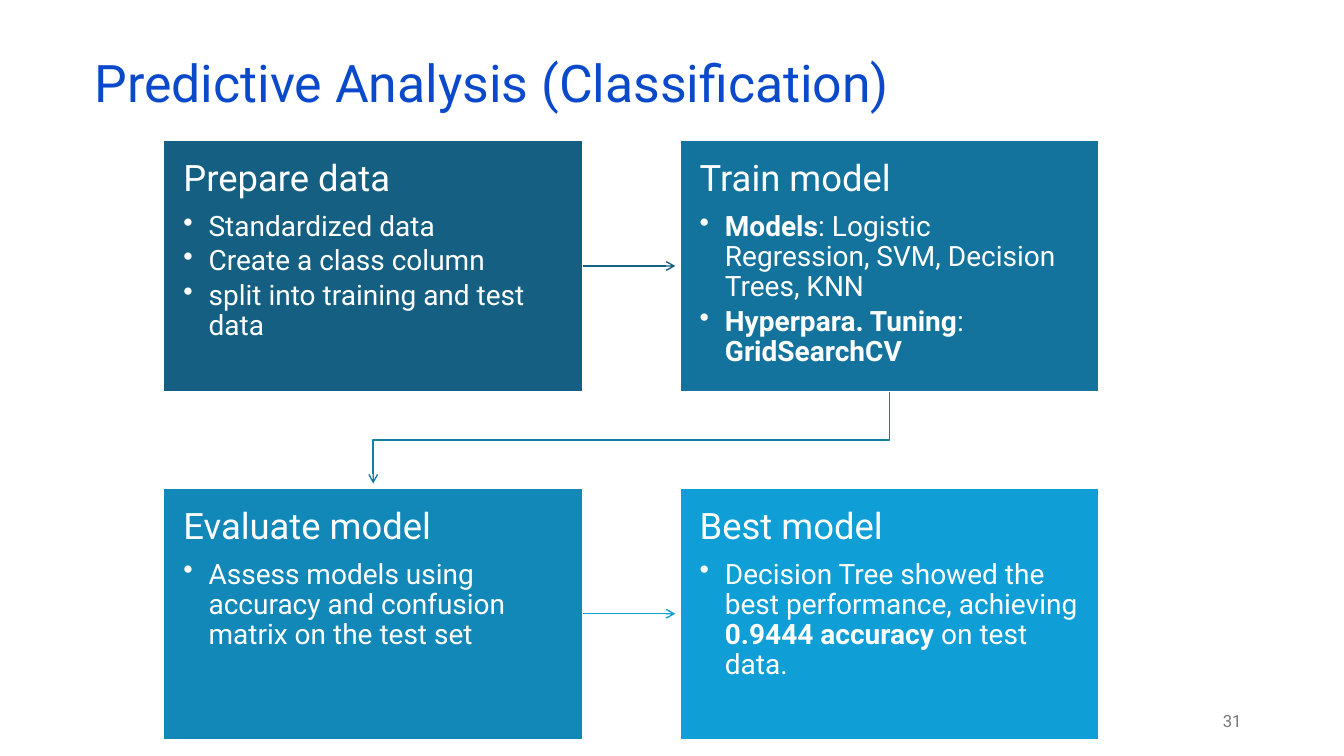
from lxml import etree
from pptx import Presentation
from pptx import util as u
from pptx.dml.color import RGBColor
from pptx.enum import shapes, text
from pptx.oxml.ns import qn

Pt = u.Pt
FONT = "Roboto"
WHITE = "FFFFFF"
TITLE = "Predictive Analysis (Classification)"
PAGE_NUMBER = "31"

# Each step: heading, fill, bullets; a bullet is a list of (text, bold) runs.
STEPS = [
    ("Prepare data", "156082", [
        [("Standardized data", False)],
        [("Create a class column", False)],
        [("split into training and test data", False)],
    ]),
    ("Train model", "14739C", [
        [("Models", True),
         (": Logistic Regression, SVM, Decision Trees, KNN", False)],
        [("Hyperpara. Tuning", True), (": ", False), ("GridSearchCV", True)],
    ]),
    ("Evaluate model", "1288B8", [
        [("Assess models using accuracy and confusion matrix on the test set", False)],
    ]),
    ("Best model", "0F9ED5", [
        [("Decision Tree showed the best performance, achieving ", False),
         ("0.9444 accuracy", True), (" on test data.", False)],
    ]),
]
ROW_ARROW_COLORS = ["156082", "0F9ED5"]
ELBOW_COLOR = "137EAA"

LEFT, TOP = 116.6, 100
BOX_WIDTH, BOX_HEIGHT = 300, 180
COLUMN_STEP, ROW_STEP = 368.8, 248.4
ARROW_GAP = 3
INSET = 14.4
INDENT = 18


def color(value):
    return RGBColor.from_string(value)


def add_run(paragraph, content, size, fill, bold=False):
    run = paragraph.add_run()
    run.text = content
    run.font.name = FONT
    run.font.size = Pt(size)
    run.font.bold = bold
    run.font.color.rgb = color(fill)


def set_margins(frame, margin):
    frame.margin_left = frame.margin_right = Pt(margin)
    frame.margin_top = frame.margin_bottom = Pt(margin)


def place(shape, left, top, width, height):
    shape.left, shape.top = Pt(left), Pt(top)
    shape.width, shape.height = Pt(width), Pt(height)


def add_bullet(paragraph):
    properties = paragraph._p.get_or_add_pPr()
    properties.set("marL", str(Pt(INDENT)))
    properties.set("indent", str(-Pt(INDENT)))
    etree.SubElement(properties, qn("a:buChar"), char="•")


def style_arrow(shape, line_color):
    """Give a line its colour and an open arrowhead at its end."""
    shape.line.color.rgb = color(line_color)
    shape.line.width = Pt(1)
    etree.SubElement(shape.line._get_or_add_ln(), qn("a:tailEnd"), type="arrow")
    if shape._element.spPr.find(qn("a:effectLst")) is None:
        etree.SubElement(shape._element.spPr, qn("a:effectLst"))


def add_step(slide, left, top, heading, fill, bullets):
    box = slide.shapes.add_shape(shapes.MSO_SHAPE.RECTANGLE, Pt(left), Pt(top),
                                 Pt(BOX_WIDTH), Pt(BOX_HEIGHT))
    box.shadow.inherit = False
    box.fill.solid()
    box.fill.fore_color.rgb = color(fill)
    box.line.color.rgb = color(WHITE)
    box.line.width = Pt(1.5)
    frame = box.text_frame
    frame.word_wrap = True
    frame.vertical_anchor = text.MSO_ANCHOR.TOP
    set_margins(frame, INSET)
    paragraph = frame.paragraphs[0]
    paragraph.space_after = Pt(9)
    add_run(paragraph, heading, 26, WHITE)
    for runs in bullets:
        paragraph = frame.add_paragraph()
        paragraph.level = 1
        paragraph.space_after = Pt(3)
        add_bullet(paragraph)
        for content, bold in runs:
            add_run(paragraph, content, 20, WHITE, bold)
    for paragraph in frame.paragraphs:
        paragraph.alignment = text.PP_ALIGN.LEFT
        paragraph.line_spacing = 0.9


def add_row_arrow(slide, row):
    middle = TOP + row * ROW_STEP + BOX_HEIGHT / 2
    arrow = slide.shapes.add_connector(
        shapes.MSO_CONNECTOR.STRAIGHT, Pt(LEFT + BOX_WIDTH), Pt(middle),
        Pt(LEFT + COLUMN_STEP - ARROW_GAP), Pt(middle))
    style_arrow(arrow, ROW_ARROW_COLORS[row])


def add_elbow_arrow(slide):
    end_x = LEFT + BOX_WIDTH / 2
    start_x = end_x + COLUMN_STEP
    start_y = TOP + BOX_HEIGHT
    end_y = TOP + ROW_STEP - ARROW_GAP
    middle = (TOP + BOX_HEIGHT + TOP + ROW_STEP) / 2
    builder = slide.shapes.build_freeform(Pt(start_x), Pt(start_y))
    corners = [(start_x, middle), (end_x, middle), (end_x, end_y)]
    builder.add_line_segments([(Pt(x), Pt(y)) for x, y in corners], close=False)
    elbow = builder.convert_to_shape()
    elbow.fill.background()
    style_arrow(elbow, ELBOW_COLOR)


def add_title(slide):
    title = slide.shapes.title
    place(title, 60.5, 42.5, 828, 43.2)
    frame = title.text_frame
    frame.word_wrap = True
    frame.auto_size = text.MSO_AUTO_SIZE.NONE
    frame.vertical_anchor = text.MSO_ANCHOR.MIDDLE
    paragraph = frame.paragraphs[0]
    paragraph.alignment = text.PP_ALIGN.LEFT
    paragraph.line_spacing = 0.7
    add_run(paragraph, TITLE, 37, "0B49CB")


def add_page_number(slide):
    box = slide.shapes.add_textbox(Pt(678), Pt(500.5), Pt(216), Pt(28.8))
    frame = box.text_frame
    frame.word_wrap = True
    frame.vertical_anchor = text.MSO_ANCHOR.MIDDLE
    paragraph = frame.paragraphs[0]
    paragraph.alignment = text.PP_ALIGN.RIGHT
    add_run(paragraph, PAGE_NUMBER, 12, "797979")


def main():
    presentation = Presentation()
    presentation.slide_width, presentation.slide_height = Pt(960), Pt(540)
    slide = presentation.slides.add_slide(presentation.slide_layouts[5])
    add_title(slide)
    for index, step in enumerate(STEPS):
        row, column = divmod(index, 2)
        add_step(slide, LEFT + column * COLUMN_STEP, TOP + row * ROW_STEP, *step)
    for row in range(len(ROW_ARROW_COLORS)):
        add_row_arrow(slide, row)
    add_elbow_arrow(slide)
    add_page_number(slide)
    presentation.save("out.pptx")


if __name__ == "__main__":
    main()
